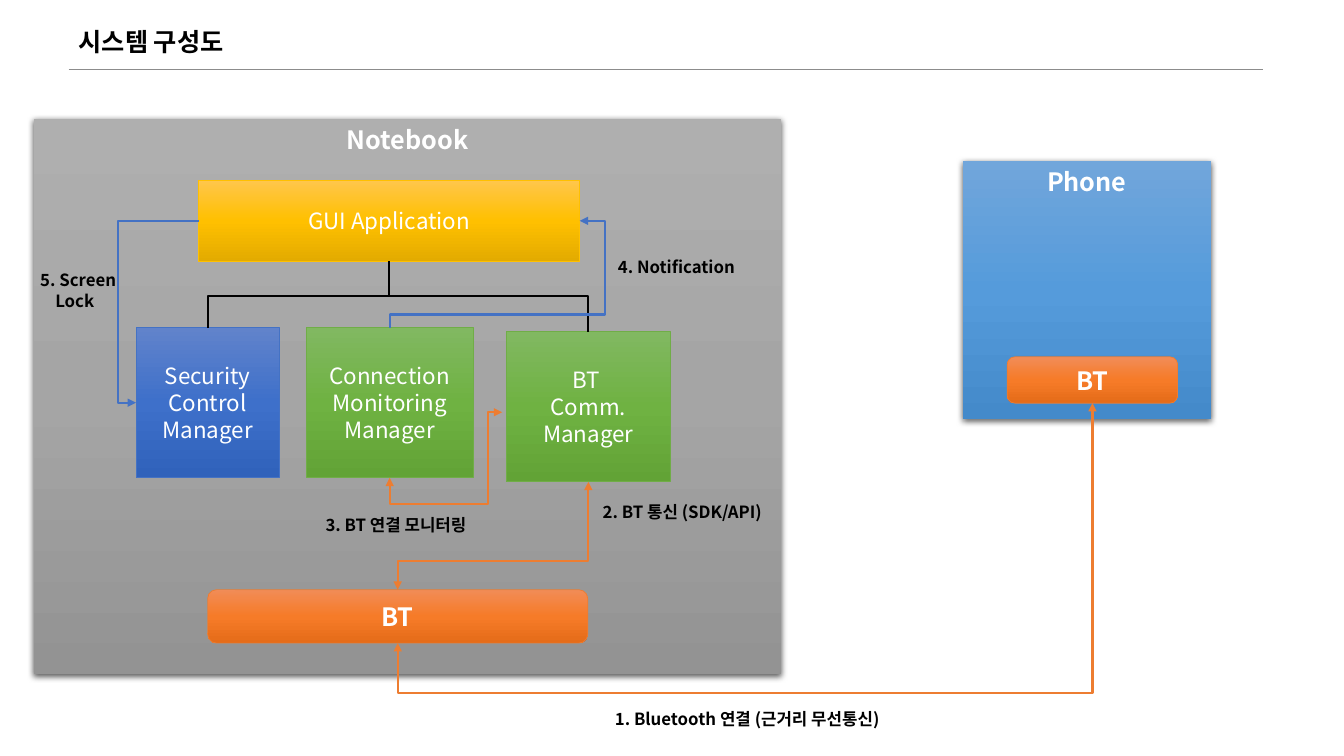
import pptx
import pptx.dml.color
import pptx.enum.shapes
import pptx.enum.text
import pptx.oxml
import pptx.oxml.ns
import pptx.util
from dataclasses import dataclass
from lxml import etree

qn = pptx.oxml.ns.qn
SHAPE = pptx.enum.shapes.MSO_SHAPE
LINK = pptx.enum.shapes.MSO_CONNECTOR
ALIGN = pptx.enum.text.PP_ALIGN
ANCHOR = pptx.enum.text.MSO_ANCHOR
FIT = pptx.enum.text.MSO_AUTO_SIZE
WIDTH, HEIGHT = pptx.util.Inches(13.33), pptx.util.Inches(7.5)


@dataclass(frozen=True)
class Theme:
    """Font, type sizes and colours; a gradient is top, middle, bottom."""
    font = "Noto Sans CJK KR"
    heading, body, label = 18, 16, 12
    black, white, rule = "000000", "FFFFFF", "8C8C8C"
    orange, blue, green, gold = "ED7D31", "4472C4", "70AD47", "FFC000"
    grey_fill = ("AFAFAF", "A5A5A5", "939393")
    sky_fill = ("71A6DB", "559BDB", "448ACA")
    orange_fill = ("F18C57", "F67B28", "E56C19")
    green_fill = ("81B861", "6FB242", "62A336")
    blue_fill = ("6183CB", "3E70CA", "3062BB")
    gold_fill = ("FFC64B", "FFC000", "E3AB00")


T = Theme()


def rgb(value):
    """Turn RRGGBB into a colour."""
    return pptx.dml.color.RGBColor.from_string(value)


def place(x, y):
    """Turn percentages of the slide's width and height into lengths."""
    return round(WIDTH * x / 100), round(HEIGHT * y / 100)


def frame(at):
    """Turn left, top, width, height percentages into lengths."""
    return place(*at[:2]) + place(*at[2:])


def add_node(parent, tag, **attrs):
    """Append an XML element with the given attributes."""
    node = etree.SubElement(parent, qn(tag))
    for name, value in attrs.items():
        node.set(name, str(value))
    return node


def write(tf, text, size, color, bold=False, align=ALIGN.LEFT, **frame_format):
    """Fill a text frame; each line of text becomes a paragraph."""
    for name, value in {"word_wrap": True, **frame_format}.items():
        setattr(tf, name, value)
    for i, line in enumerate(text.split("\n")):
        p = tf.add_paragraph() if i else tf.paragraphs[0]
        p.text = line
        p.alignment = align
        for r in p.runs:
            for name, value in {"name": T.font, "size": pptx.util.Pt(size),
                                "bold": bold}.items():
                setattr(r.font, name, value)
            r.font.color.rgb = rgb(color)
            add_node(r.font._element, "a:ea", typeface=T.font)


def add_title(s, text, at):
    """Place the title placeholder and the rule below it."""
    sp = s.shapes.title
    for name, value in zip(("left", "top", "width", "height"), frame(at)):
        setattr(sp, name, value)
    write(sp.text_frame, text, T.heading, T.black, bold=True,
          vertical_anchor=ANCHOR.MIDDLE, auto_size=FIT.NONE)
    line = s.shapes.add_connector(LINK.STRAIGHT, *place(at[0], 9.2), *place(94, 9.2))
    style_link(line, T.rule, 0.5)


def add_box(s, text, at, fill, line=None, size=T.body, bold=False,
            shape=SHAPE.RECTANGLE, anchor=ANCHOR.MIDDLE):
    """Add a gradient box with centred text."""
    sp = s.shapes.add_shape(shape, *frame(at))
    sp.shadow.inherit = False
    sp.fill.gradient()
    sp.fill.gradient_angle = 270
    stops = sp._element.spPr.find(qn("a:gradFill")).find(qn("a:gsLst"))
    for stop in list(stops):
        stops.remove(stop)
    for i, color in enumerate(fill):
        add_node(add_node(stops, "a:gs", pos=i * 50000), "a:srgbClr", val=color)
    if line:
        sp.line.color.rgb = rgb(line)
        sp.line.width = pptx.util.Pt(0.5)
    else:
        sp.line.fill.background()
    write(sp.text_frame, text, size, T.white, bold, ALIGN.CENTER,
          vertical_anchor=anchor)
    return sp


def add_device(s, text, at, fill):
    """Add a device panel with a soft shadow and its name at the top."""
    sp = add_box(s, text, at, fill, size=T.heading, bold=True, anchor=ANCHOR.TOP)
    shadow = add_node(sp._element.spPr.find(qn("a:effectLst")), "a:outerShdw",
                      blurRad=57150, dist=19050, dir=5400000, algn="ctr",
                      rotWithShape=0)
    add_node(add_node(shadow, "a:srgbClr", val=T.black), "a:alpha", val=63000)


def add_radio(s, at):
    """Add a rounded Bluetooth box."""
    return add_box(s, "BT", at, T.orange_fill, T.orange, T.heading, True,
                   SHAPE.ROUNDED_RECTANGLE)


def add_label(s, text, at):
    """Add a bold step label."""
    sp = s.shapes.add_textbox(*frame(at))
    write(sp.text_frame, text, T.label, T.black, bold=True,
          auto_size=FIT.SHAPE_TO_FIT_TEXT)
    return sp


def side(sp, name):
    """Return the midpoint of one side of a shape."""
    fx, fy = {"top": (0.5, 0), "bottom": (0.5, 1),
              "left": (0, 0.5), "right": (1, 0.5)}[name]
    return round(sp.left + sp.width * fx), round(sp.top + sp.height * fy)


def style_link(c, color, width, ends=()):
    """Set a connector's line and arrowheads and clear its shadow."""
    c.line.color.rgb = rgb(color)
    c.line.width = pptx.util.Pt(width)
    ln = c.line._get_or_add_ln()
    for end in ends:
        add_node(ln, end, type="triangle")
    add_node(c._element.spPr, "a:effectLst")


def add_elbow(s, start, end, lanes, color, ends=(), down=True):
    """Join two points along lanes given as alternating y and x percentages.

    A link that leaves vertically (down) is a horizontal one turned by 90 degrees.
    """
    dx, dy = end[0] - start[0], end[1] - start[1]
    cx, cy = (start[0] + end[0]) / 2, (start[1] + end[1]) / 2
    w, h = (dy, -dx) if down else (dx, dy)
    c = s.shapes.add_connector(LINK.ELBOW, round(cx - w / 2), round(cy - h / 2),
                               round(cx + w / 2), round(cy + h / 2))
    spPr = c._element.spPr
    if down:
        spPr.find(qn("a:xfrm")).set("rot", "5400000")
    geom = spPr.find(qn("a:prstGeom"))
    geom.set("prst", f"bentConnector{len(lanes) + 2}")
    guides = geom.find(qn("a:avLst"))
    for i, lane in enumerate(lanes):
        axis = (i + down) % 2
        share = (place(lane, lane)[axis] - start[axis]) / (dx, dy)[axis]
        add_node(guides, "a:gd", name=f"adj{i + 1}", fmla=f"val {round(share * 100000)}")
    style_link(c, color, 1.5, ends)


def main():
    """Build the system diagram slide."""
    prs = pptx.Presentation()
    prs.slide_width, prs.slide_height = WIDTH, HEIGHT
    s = prs.slides.add_slide(prs.slide_layouts[5])
    add_title(s, "시스템 구성도", (5.1, 2.8, 38.41, 5.33))

    add_device(s, "Notebook", (2.55, 15.73, 55.59, 73.47), T.grey_fill)
    add_device(s, "Phone", (71.64, 21.33, 18.45, 34.13), T.sky_fill)
    notebook_bt = add_radio(s, (15.45, 78, 28.28, 7.07))
    phone_bt = add_radio(s, (74.94, 47.2, 12.68, 6.13))
    gui = add_box(s, "GUI Application", (14.78, 23.87, 28.36, 10.67),
                  T.gold_fill, T.gold)
    security = add_box(s, "Security Control Manager", (10.13, 43.33, 10.65, 19.87),
                       T.blue_fill, T.blue)
    monitor = add_box(s, "Connection\vMonitoring\vManager",
                      (22.81, 43.33, 12.38, 19.87), T.green_fill, T.green)
    comm = add_box(s, "BT \vComm. Manager", (37.66, 43.87, 12.23, 19.87),
                   T.green_fill, T.green)

    one_way, both = ("a:tailEnd",), ("a:headEnd", "a:tailEnd")
    for manager in (comm, security):
        add_elbow(s, side(gui, "bottom"), side(manager, "top"), [39.2], T.black)
    add_elbow(s, side(notebook_bt, "bottom"), side(phone_bt, "bottom"), [91.73],
              T.orange, both)
    add_elbow(s, side(comm, "bottom"), side(notebook_bt, "top"), [74.27],
              T.orange, both)
    add_elbow(s, place(37.36, 54.53), side(monitor, "bottom"), [36.31, 66.67],
              T.orange, both, down=False)
    add_elbow(s, side(monitor, "top"), side(gui, "right"), [41.6, 45.01],
              T.blue, one_way)
    add_elbow(s, side(gui, "left"), side(security, "left"), [8.78],
              T.blue, one_way, down=False)

    add_label(s, "1. Bluetooth 연결 (근거리 무선통신)", (45.01, 93.07, 28.06, 4))
    add_label(s, "2. BT 통신 (SDK/API)", (44.11, 65.73, 18, 4))
    add_label(s, "3. BT 연결 모니터링", (23.48, 67.47, 16.2, 4))
    add_label(s, "4. Notification", (45.24, 33.33, 12.83, 4))
    lock = add_label(s, "5. Screen\nLock", (2.25, 35.07, 9.3, 6.67))
    indent = pptx.util.Inches(0.15)
    lock.text_frame.paragraphs[1]._p.get_or_add_pPr().set("marL", str(indent))

    prs.save("out.pptx")


main()
